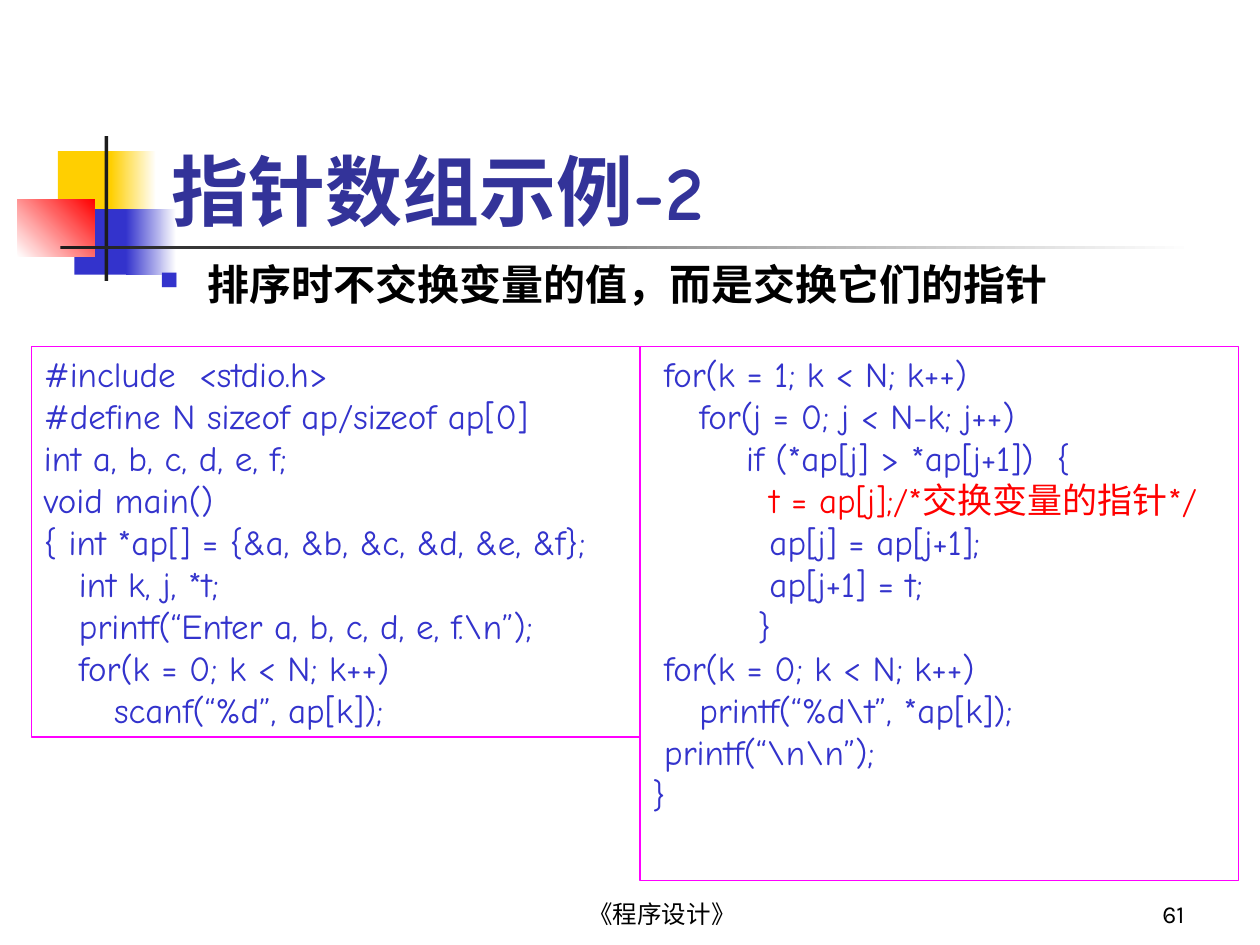
from lxml import etree
from pptx import Presentation, util as u
from pptx.dml.color import RGBColor
from pptx.enum import shapes, text
from pptx.oxml.ns import qn

GOLD = RGBColor(0xFF, 0xCF, 0x01)
BLUE = RGBColor(0x33, 0x33, 0xCC)
NAVY = RGBColor(0x33, 0x33, 0x99)
RED = RGBColor(0xFF, 0, 0)
PINK = RGBColor(0xFF, 0, 0xFF)
DARK = RGBColor(0x1C, 0x1C, 0x1C)
BLACK = RGBColor(0, 0, 0)
WHITE = RGBColor(0xFF, 0xFF, 0xFF)
HAN = "Noto Sans CJK SC"
CODE = "Comic Neue"
LEFT, RIGHT = text.PP_ALIGN.LEFT, text.PP_ALIGN.RIGHT
MID, JUST = text.PP_ALIGN.CENTER, text.PP_ALIGN.JUSTIFY
TOP, LOW = text.MSO_ANCHOR.TOP, text.MSO_ANCHOR.BOTTOM

HEAD = """#include  <stdio.h>
#define N sizeof ap/sizeof ap[0]
int a, b, c, d, e, f;
void main()
{ int *ap[] = {&a, &b, &c, &d, &e, &f};
   int k, j, *t;
   printf(“Enter a, b, c, d, e, f.\\n”);
   for(k = 0; k < N; k++)
      scanf(“%d”, ap[k]);"""
SORT = """ for(k = 1; k < N; k++)
    for(j = 0; j < N-k; j++)
        if (*ap[j] > *ap[j+1])  {
          t = ap[j];/*交换变量的指针*/
          ap[j] = ap[j+1];
          ap[j+1] = t;
         }
 for(k = 0; k < N; k++)
    printf(“%d\\t”, *ap[k]);
 printf(“\\n\\n”);
}"""


def write(para, words, size=20, font=CODE, color=BLUE, bold=False):
    """Add a formatted run to a paragraph."""
    run = para.add_run()
    run.text = words
    run.font.size, run.font.bold = u.Pt(size), bold
    run.font.color.rgb = color
    run.font.name = font
    etree.SubElement(run.font._element, qn("a:ea"), typeface=HAN)


class Deck:
    """Hold the grid of one-inch cells and the current slide."""

    def __init__(self, cols=10, rows=7.5):
        self.prs = Presentation()
        self.prs.slide_width, self.prs.slide_height = u.Inches(10), u.Inches(7.5)
        self.col = self.prs.slide_width / cols
        self.row = self.prs.slide_height / rows
        self.slide = self.prs.slides.add_slide(self.prs.slide_layouts[5])

    def at(self, x, y, w, h):
        """Turn grid cells into lengths."""
        return [round(n * s) for n, s in zip((x, y, w, h), (self.col, self.row) * 2)]

    def rect(self, place, fill=None, fade=None, angle=0, line=None):
        """Draw a rectangle with a plain, faded or empty fill."""
        box = self.slide.shapes.add_shape(shapes.MSO_SHAPE.RECTANGLE, *self.at(*place))
        box.shadow.inherit = False
        if fade:
            box.fill.gradient()
            box.fill.gradient_angle = angle
            for stop, color in zip(box.fill.gradient_stops, (fill, fade)):
                stop.color.rgb = color
        elif fill:
            box.fill.solid()
            box.fill.fore_color.rgb = fill
        else:
            box.fill.background()
        if line:
            box.line.color.rgb, box.line.width = line, u.Pt(0.75)
        else:
            box.line.fill.background()
        return box

    def frame(self, box, anchor=TOP, align=LEFT):
        """Prepare a text frame and give its first paragraph."""
        body = box.text_frame
        body.word_wrap, body.auto_size = True, text.MSO_AUTO_SIZE.NONE
        body.vertical_anchor = anchor
        body.paragraphs[0].alignment = align
        return body.paragraphs[0]

    def title(self, place, words):
        """Place the title above the ornament."""
        box = self.slide.shapes.title
        box.left, box.top, box.width, box.height = self.at(*place)
        box._element.getparent().append(box._element)
        write(self.frame(box, LOW), words, size=44, color=NAVY, bold=True)

    def label(self, place, words, anchor=LOW, align=LEFT, bullet=False, **style):
        """Add a line of text, with a square bullet if asked."""
        box = self.slide.shapes.add_textbox(*self.at(*place))
        para = self.frame(box, anchor, align)
        if bullet:
            props = para._p.get_or_add_pPr()
            dent = u.Inches(0.38)
            props.set("marL", str(dent))
            props.set("indent", str(-dent))
            tint = etree.SubElement(props, qn("a:buClr"))
            etree.SubElement(tint, qn("a:srgbClr"), val=str(BLUE))
            etree.SubElement(props, qn("a:buSzPct"), val="60000")
            etree.SubElement(props, qn("a:buChar"), char="■")
        write(para, words, color=BLACK, **style)

    def code(self, place, lines, align=LEFT, mark=None):
        """Add a framed listing with one line marked in red."""
        box = self.rect(place, line=PINK)
        para = self.frame(box, TOP, align)
        for num, line in enumerate(lines.split("\n")):
            if num:
                para = box.text_frame.add_paragraph()
                para.alignment = align
            write(para, line, color=RED if num == mark else BLUE)


def main():
    """Build the slide."""
    deck = Deck()
    deck.rect((0.46, 1.2, 0.48, 0.52), GOLD)
    deck.rect((0.88, 1.2, 0.36, 0.52), GOLD, WHITE)
    deck.rect((0.59, 1.66, 0.46, 0.52), BLUE)
    deck.rect((1, 1.66, 0.4, 0.52), BLUE, WHITE)
    deck.rect((0.14, 1.58, 0.61, 0.46), WHITE, RED, angle=45)
    deck.rect((0.83, 1.08, 0.03, 1.15), DARK)
    deck.rect((0.48, 1.95, 9, 0.03), DARK, WHITE)
    deck.label((3.67, 6.92, 3.17, 0.5), "《程序设计》", align=MID, size=14, font="Karla")
    deck.label((7.42, 6.92, 2.08, 0.5), "61", align=RIGHT, size=14, font="Karla")
    deck.title((1.26, 0.67, 8.52, 1.25), "指针数组示例-2")
    deck.label((1.17, 2, 8.63, 0.5), "排序时不交换变量的值，而是交换它们的指针",
               anchor=TOP, bullet=True, size=24, font=HAN, bold=True)
    deck.code((0.25, 2.75, 4.83, 3.1), HEAD, align=JUST)
    deck.code((5.08, 2.75, 4.75, 4.24), SORT, mark=3)
    deck.prs.save("out.pptx")


if __name__ == "__main__":
    main()
